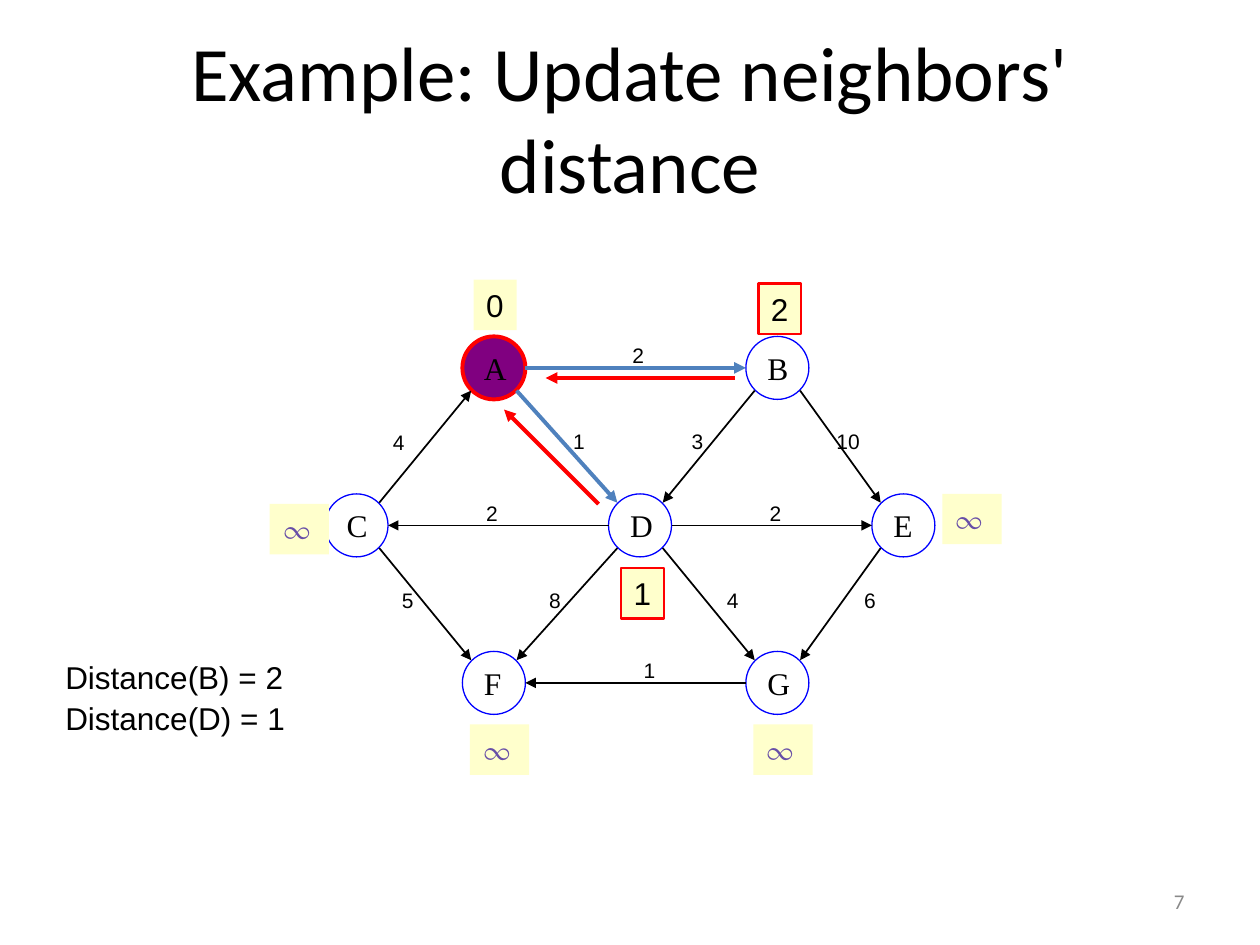
from pptx import Presentation
from pptx.dml.color import RGBColor
from pptx.enum import shapes, text
from pptx.oxml import parse_xml
from pptx.oxml.ns import nsdecls
from pptx.util import Inches, Pt

BLACK = RGBColor(0, 0, 0)
GREY = RGBColor(0x89, 0x89, 0x89)
RED = RGBColor(0xFF, 0, 0)
BLUE = RGBColor(0, 0, 0xFF)
STEEL = RGBColor(0x4F, 0x81, 0xBD)
PURPLE = RGBColor(0x80, 0, 0x80)
VIOLET = RGBColor(0x67, 0x4E, 0xA7)
CREAM = RGBColor(0xFF, 0xFF, 0xCC)

RADIUS = 0.25
DIAGONAL = 0.18  # reach of the rim along each axis at 45 degrees

NODES = {  # centres
    "A": (3.92, 2.92), "B": (6.17, 2.92),
    "C": (2.83, 4.17), "D": (5.08, 4.17), "E": (7.17, 4.17),
    "F": (3.92, 5.42), "G": (6.17, 5.42),
}
EDGES = [  # from, to, weight, left and top of the weight
    ("A", "B", "2", 4.92, 2.67), ("A", "D", "1", 4.45, 3.35),
    ("B", "D", "3", 5.39, 3.35), ("B", "E", "10", 6.54, 3.35),
    ("C", "A", "4", 3.02, 3.36), ("C", "F", "5", 3.09, 4.61),
    ("D", "C", "2", 3.76, 3.92), ("D", "E", "2", 6.01, 3.92),
    ("D", "F", "8", 4.26, 4.61), ("D", "G", "4", 5.67, 4.61),
    ("E", "G", "6", 6.76, 4.61), ("G", "F", "1", 5.01, 5.17),
]
BADGES = [  # distance, left, top, updated
    ("0", 3.76, 2.22, False), ("2", 6.02, 2.25, True),
    ("∞", 2.14, 4, False), ("∞", 7.48, 3.92, False),
    ("1", 4.93, 4.51, True),
    ("∞", 3.73, 5.75, False), ("∞", 5.98, 5.75, False),
]
BACK = [(4.75, 4, 4, 3.25), (5.83, 3, 4.33, 3)]
NOTES = [("Distance(B) = 2", 5.17), ("Distance(D) = 1", 5.5)]


def write(shape, words, size, font="Arial", color=BLACK, wrap=False,
          anchor=text.MSO_ANCHOR.MIDDLE, align=text.PP_ALIGN.LEFT):
    frame = shape.text_frame
    frame.word_wrap = wrap
    frame.vertical_anchor = anchor
    para = frame.paragraphs[0]
    para.alignment = align
    run = para.add_run()
    run.text = words
    run.font.size = Pt(size)
    run.font.name = font
    run.font.color.rgb = color


def add_text(slide, box, words, size, **style):
    write(slide.shapes.add_textbox(*map(Inches, box)), words, size, **style)


def add_form(slide, kind, box, fill=None, line=None, width=0.75):
    shape = slide.shapes.add_shape(kind, *map(Inches, box))
    shape.shadow.inherit = False
    if fill is None:
        shape.fill.background()
    else:
        shape.fill.solid()
        shape.fill.fore_color.rgb = fill
    if line is None:
        shape.line.fill.background()
    else:
        shape.line.color.rgb = line
        shape.line.width = Pt(width)
    return shape


def add_arrow(slide, ends, color, width):
    arrow = slide.shapes.add_connector(
        shapes.MSO_CONNECTOR.STRAIGHT, *map(Inches, ends))
    arrow.line.color.rgb = color
    arrow.line.width = Pt(width)
    arrow.line._get_or_add_ln().append(
        parse_xml(f'<a:tailEnd {nsdecls("a")} type="triangle"/>'))
    arrow._element.spPr.append(parse_xml(f'<a:effectLst {nsdecls("a")}/>'))


def add_node(slide, name):
    x, y = NODES[name]
    box = (x - RADIUS, y - RADIUS, 2 * RADIUS, 2 * RADIUS)
    look = (PURPLE, RED, 2.25) if name == "A" else (None, BLUE)
    node = add_form(slide, shapes.MSO_SHAPE.OVAL, box, *look)
    write(node, name, 18, "Times New Roman")


def add_edge(slide, start, end):
    """Arrow from rim to rim of two nodes."""
    (x1, y1), (x2, y2) = NODES[start], NODES[end]
    right = 1 if x2 > x1 else -1
    down = (y2 > y1) - (y2 < y1)
    dx = right * (DIAGONAL if down else RADIUS)
    dy = down * DIAGONAL
    look = (STEEL, 2.25) if start == "A" else (BLACK, 1)
    add_arrow(slide, (x1 + dx, y1 + dy, x2 - dx, y2 - dy), *look)


def add_badge(slide, value, left, top, updated):
    far = value == "∞"
    box = (left, top, 0.47 if far else 0.34, 0.4)
    badge = add_form(slide, shapes.MSO_SHAPE.RECTANGLE, box, CREAM,
                     RED if updated else None, 1.25)
    font, color = ("TeX Gyre Pagella", VIOLET) if far else ("Arial", BLACK)
    write(badge, value, 18, font, color, wrap=far,
          anchor=text.MSO_ANCHOR.TOP)


def main():
    deck = Presentation()
    deck.slide_width, deck.slide_height = Inches(10), Inches(7.5)
    slide = deck.slides.add_slide(deck.slide_layouts[6])

    add_text(slide, (7.17, 6.95, 2.33, 0.4), "7", 12, font="Calibri",
             color=GREY, wrap=True, align=text.PP_ALIGN.RIGHT)
    add_text(slide, (0.5, 0.3, 9, 1.25), "Example: Update neighbors' distance",
             44, font="Calibri", wrap=True, align=text.PP_ALIGN.CENTER)

    for name in NODES:
        add_node(slide, name)
    for start, end, *_ in EDGES:
        add_edge(slide, start, end)
    for _, _, weight, left, top in EDGES:
        wide = 0.29 if len(weight) == 1 else 0.41
        add_text(slide, (left, top, wide, 0.3), weight, 12)
    for badge in BADGES:
        add_badge(slide, *badge)
    for words, top in NOTES:
        add_text(slide, (0.42, top, 2.13, 0.86), words, 18, wrap=True,
                 anchor=text.MSO_ANCHOR.TOP)
    for ends in BACK:
        add_arrow(slide, ends, RED, 2.25)

    deck.save("out.pptx")


if __name__ == "__main__":
    main()
